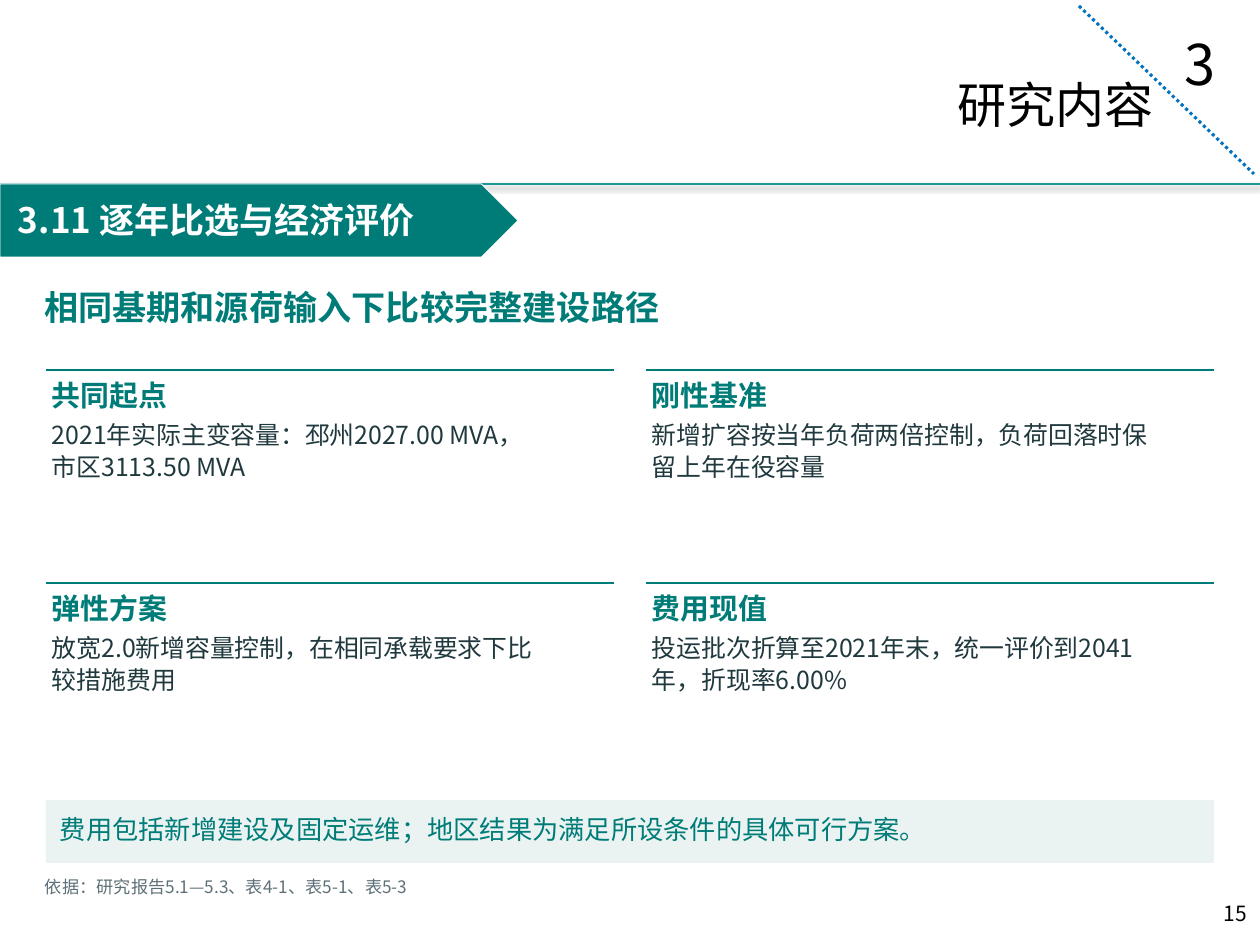
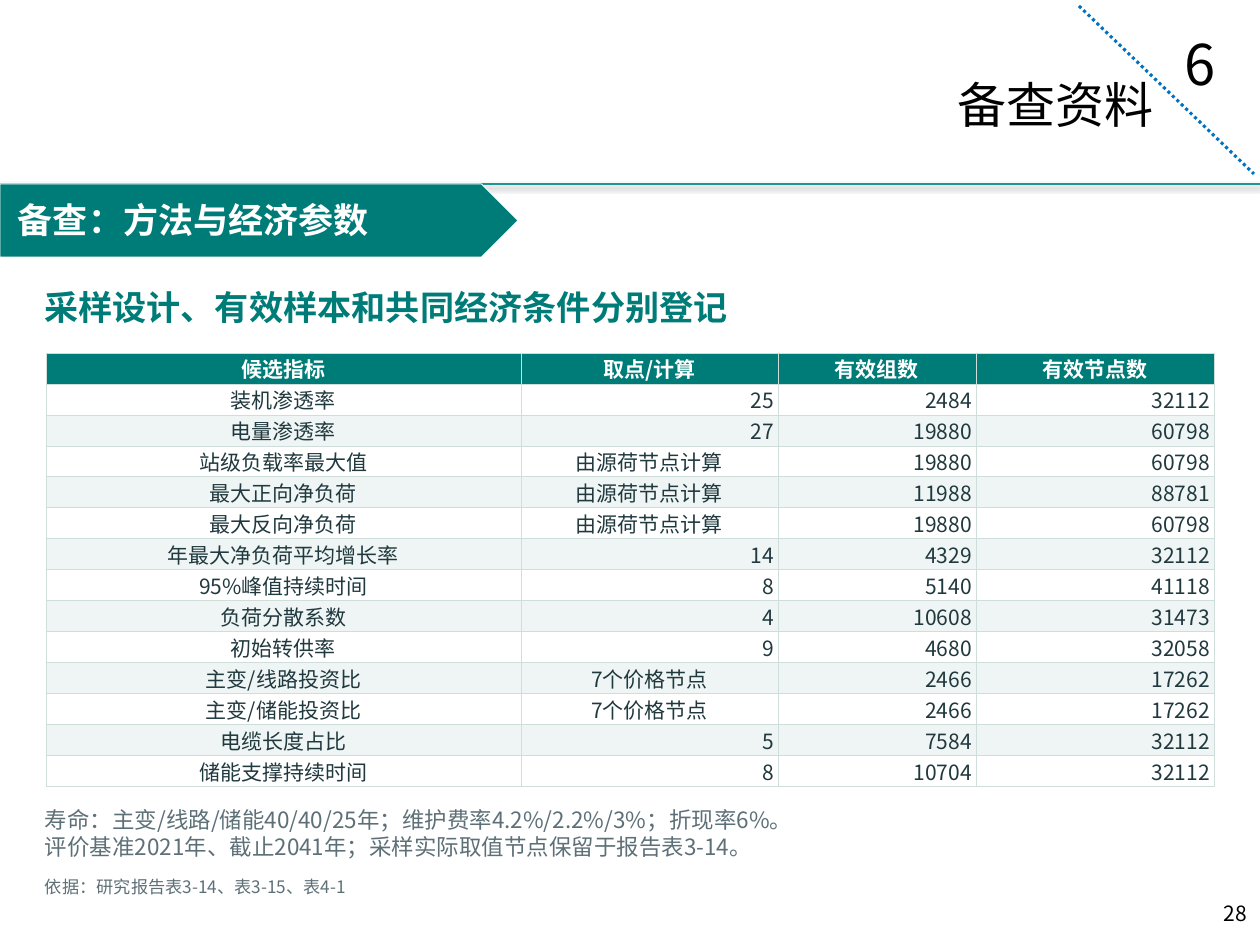
import pptx
import pptx.util
import pptx.dml.color
import pptx.enum.dml
import pptx.enum.shapes
import pptx.enum.text
import pptx.oxml
import pptx.oxml.ns
from lxml import etree

FONT = "Noto Sans CJK SC"
COLORS = {
    "teal": "007C78", "rule": "1C9791", "dots": "0072C0", "ink": "20393E",
    "muted": "5E7077", "strip": "EAF3F1", "stripe": "EFF5F4",
    "border": "D0DEDB", "white": "FFFFFF", "black": "000000",
}

# Content
COMPARISON = {
    "number": "3", "chapter": "研究内容", "page": "15",
    "band": "3.11 逐年比选与经济评价",
    "heading": "相同基期和源荷输入下比较完整建设路径",
    "basis": "依据：研究报告5.1—5.3、表4-1、表5-1、表5-3",
}
CARDS = [  # title, body, body width
    ("共同起点", "2021年实际主变容量：邳州2027.00 MVA，\n市区3113.50 MVA", 479),
    ("刚性基准", "新增扩容按当年负荷两倍控制，负荷回落时保\n留上年在役容量", 499),
    ("弹性方案", "放宽2.0新增容量控制，在相同承载要求下比\n较措施费用", 490),
    ("费用现值", "投运批次折算至2021年末，统一评价到2041\n年，折现率6.00%", 484),
]
CONCLUSION = "费用包括新增建设及固定运维；地区结果为满足所设条件的具体可行方案。"

PARAMETERS = {
    "number": "6", "chapter": "备查资料", "page": "28",
    "band": "备查：方法与经济参数",
    "heading": "采样设计、有效样本和共同经济条件分别登记",
    "basis": "依据：研究报告表3-14、表3-15、表4-1",
}
INDICATORS = [
    ("候选指标", "取点/计算", "有效组数", "有效节点数"),
    ("装机渗透率", "25", "2484", "32112"),
    ("电量渗透率", "27", "19880", "60798"),
    ("站级负载率最大值", "由源荷节点计算", "19880", "60798"),
    ("最大正向净负荷", "由源荷节点计算", "11988", "88781"),
    ("最大反向净负荷", "由源荷节点计算", "19880", "60798"),
    ("年最大净负荷平均增长率", "14", "4329", "32112"),
    ("95%峰值持续时间", "8", "5140", "41118"),
    ("负荷分散系数", "4", "10608", "31473"),
    ("初始转供率", "9", "4680", "32058"),
    ("主变/线路投资比", "7个价格节点", "2466", "17262"),
    ("主变/储能投资比", "7个价格节点", "2466", "17262"),
    ("电缆长度占比", "5", "7584", "32112"),
    ("储能支撑持续时间", "8", "10704", "32112"),
]
NOTES = [
    "寿命：主变/线路/储能40/40/25年；维护费率4.2%/2.2%/3%；折现率6%。",
    "评价基准2021年、截止2041年；采样实际取值节点保留于报告表3-14。",
]

# Layout in px, 126 to the inch
WIDTH, HEIGHT = 1260, 945
LEFT, CONTENT_WIDTH = 46, 1168
RULE_Y = 184
CARD_WIDTH, CARD_PITCH_X, CARD_PITCH_Y, CARD_TOP = 568, 600, 213, 370
COLUMN_WIDTHS, ROW_HEIGHT, TABLE_TOP = (475, 257, 198, 238), 31, 353

ALIGN = pptx.enum.text.PP_ALIGN
SHAPE = pptx.enum.shapes.MSO_SHAPE
qn = pptx.oxml.ns.qn


def px(length):
    return round(length * 914400 / 126)


def rgb(name):
    return pptx.dml.color.RGBColor.from_string(COLORS[name])


def write(frame, text, size, color="ink", bold=False, align=ALIGN.LEFT,
          spacing=None, insets=(0, 0, 0, 0)):
    frame.word_wrap = True
    frame.margin_left, frame.margin_top, frame.margin_right, frame.margin_bottom = map(px, insets)
    paragraph = frame.paragraphs[0]
    paragraph.text = text
    paragraph.alignment = align
    if spacing:
        paragraph.line_spacing = pptx.util.Pt(spacing)
    for run in paragraph.runs:
        run.font.size = pptx.util.Pt(size)
        run.font.bold = bold
        run.font.color.rgb = rgb(color)
        run.font.name = FONT
        latin = run.font._element.find(qn("a:latin"))
        east_asian = etree.Element(qn("a:ea"), typeface=FONT)
        latin.addnext(east_asian)


def add_text(slide, box, text, size, **text_format):
    shape = slide.shapes.add_textbox(*map(px, box))
    write(shape.text_frame, text, size, **text_format)


def add_block(slide, kind, box, fill, line=None):
    shape = slide.shapes.add_shape(kind, *map(px, box))
    shape.shadow.inherit = False
    shape.fill.solid()
    shape.fill.fore_color.rgb = rgb(fill)
    if line:
        shape.line.color.rgb = rgb(line)
        shape.line.width = pptx.util.Pt(0.5)
    else:
        shape.line.fill.background()


def add_line(slide, start, end, color, width=1.5, dash=None):
    connector = slide.shapes.add_connector(
        pptx.enum.shapes.MSO_CONNECTOR.STRAIGHT, *map(px, start + end))
    connector.line.color.rgb = rgb(color)
    connector.line.width = pptx.util.Pt(width)
    if dash:
        connector.line.dash_style = dash
    return etree.SubElement(connector._element.spPr, qn("a:effectLst"))


def add_frame(presentation, content):
    """Blank slide with the shared header, band, heading and footer."""
    slide = presentation.slides.add_slide(presentation.slide_layouts[6])
    effects = add_line(slide, (0, RULE_Y), (WIDTH, RULE_Y), "rule")
    shadow = etree.SubElement(
        effects, qn("a:outerShdw"), blurRad=str(pptx.util.Pt(3.1)),
        dist=str(pptx.util.Pt(1.8)), dir="5400000", rotWithShape="0")
    shade = etree.SubElement(shadow, qn("a:srgbClr"), val=COLORS["black"])
    etree.SubElement(shade, qn("a:alpha"), val="35000")

    left_inset, right_inset = (13, 6, 0, 0), (0, 6, 13, 0)
    add_text(slide, (1171, 23, 43, 81), content["number"], 32,
             color="black", insets=left_inset)
    add_text(slide, (627, 68, 539, 72), content["chapter"], 28,
             color="black", align=ALIGN.RIGHT, insets=right_inset)
    add_line(slide, (1079, 6), (1254, 174), "dots", 1.75,
             pptx.enum.dml.MSO_LINE.ROUND_DOT)
    add_text(slide, (976, 895, 284, 50), content["page"], 12,
             color="black", align=ALIGN.RIGHT, insets=right_inset)
    add_block(slide, SHAPE.PENTAGON, (0, RULE_Y, 518, 73), "teal", "white")
    add_text(slide, (5, 192, 479, 55), content["band"], 20,
             color="white", bold=True, insets=left_inset)
    add_text(slide, (44, 286, 726, 53), content["heading"], 19.5,
             color="teal", bold=True)
    add_text(slide, (45, 876, 398, 26), content["basis"], 9.8, color="muted")
    return slide


def add_cards(slide):
    for index, (title, body, body_width) in enumerate(CARDS):
        row, column = divmod(index, 2)
        left = LEFT + column * CARD_PITCH_X
        top = CARD_TOP + row * CARD_PITCH_Y
        add_line(slide, (left, top), (left + CARD_WIDTH, top), "teal")
        add_text(slide, (left + 6, top + 8, 125, 44), title, 16.5,
                 color="teal", bold=True)
        add_text(slide, (left + 6, top + 48, body_width, 69), body, 14.2, spacing=18)


def add_borders(cell):
    properties = cell._tc.get_or_add_tcPr()
    for side in ("lnL", "lnR", "lnT", "lnB"):
        border = etree.SubElement(properties, qn("a:" + side), w=str(pptx.util.Pt(0.45)))
        fill = etree.SubElement(border, qn("a:solidFill"))
        etree.SubElement(fill, qn("a:srgbClr"), val=COLORS["border"])


def add_indicator_table(slide):
    table = slide.shapes.add_table(
        len(INDICATORS), len(COLUMN_WIDTHS), px(LEFT), px(TABLE_TOP),
        px(CONTENT_WIDTH), px(ROW_HEIGHT * len(INDICATORS))).table
    table.horz_banding = False
    for column, width in zip(table.columns, COLUMN_WIDTHS):
        column.width = px(width)
    for row_index, values in enumerate(INDICATORS):
        table.rows[row_index].height = px(ROW_HEIGHT)
        header = row_index == 0
        fill = "teal" if header else "white" if row_index % 2 else "stripe"
        for column_index, value in enumerate(values):
            cell = table.cell(row_index, column_index)
            write(cell.text_frame, value, 12, color="white" if header else "ink",
                  bold=header, align=ALIGN.RIGHT if value.isdigit() else ALIGN.CENTER)
            cell.margin_left = cell.margin_right = px(4)
            cell.margin_top = cell.margin_bottom = 0
            cell.vertical_anchor = pptx.enum.text.MSO_ANCHOR.MIDDLE
            add_borders(cell)
            cell.fill.solid()
            cell.fill.fore_color.rgb = rgb(fill)


def main():
    presentation = pptx.Presentation()
    presentation.slide_width, presentation.slide_height = px(WIDTH), px(HEIGHT)

    # Yearly comparison
    slide = add_frame(presentation, COMPARISON)
    add_cards(slide)
    add_block(slide, SHAPE.RECTANGLE, (LEFT, 800, CONTENT_WIDTH, 63), "strip")
    add_text(slide, (60, 813, 920, 40), CONCLUSION, 15, color="teal")

    # Method and economic parameters
    slide = add_frame(presentation, PARAMETERS)
    add_indicator_table(slide)
    for index, note in enumerate(NOTES):
        add_text(slide, (45, 806 + 27 * index, 809, 34), note, 12.8, color="muted")

    presentation.save("out.pptx")


if __name__ == "__main__":
    main()
